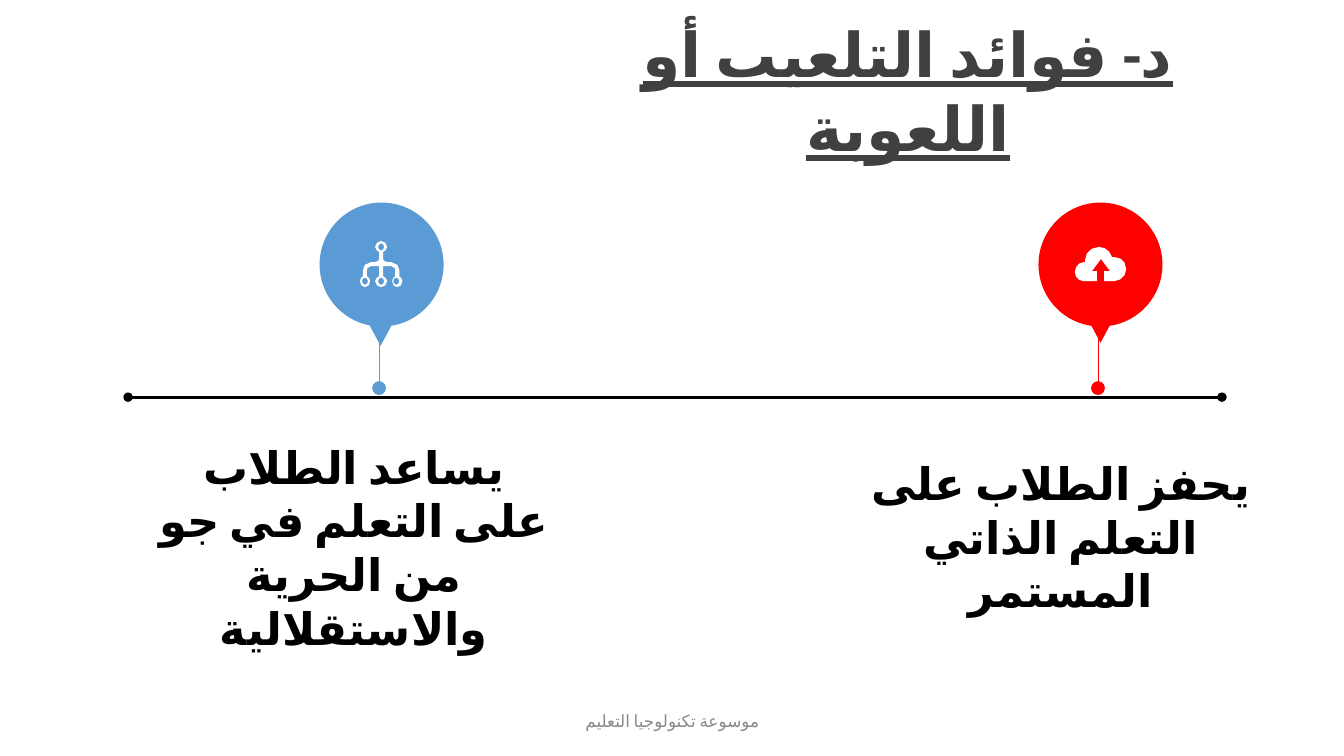
from lxml import etree
from math import cos, pi, sin
from pptx import Presentation
from pptx.dml.color import RGBColor
from pptx.enum.lang import MSO_LANGUAGE_ID
from pptx.enum.shapes import MSO_CONNECTOR, MSO_SHAPE
from pptx.enum.text import MSO_ANCHOR, PP_ALIGN
from pptx.oxml.ns import qn
from pptx.util import Inches, Pt

OVAL = MSO_SHAPE.OVAL
TRIANGLE = MSO_SHAPE.ISOSCELES_TRIANGLE
STRAIGHT = MSO_CONNECTOR.STRAIGHT
CENTER = PP_ALIGN.CENTER
TOP, MIDDLE = MSO_ANCHOR.TOP, MSO_ANCHOR.MIDDLE
ARABIC = MSO_LANGUAGE_ID.ARABIC_EGYPT

FONT = "Calibri"
BLUE, RED, WHITE, BLACK = "5B9BD5", "FF0000", "FFFFFF", "000000"

TREE_AXIS = 3.78
TREE_LEFT_HALF = [
    (3.78, 2.39),
    (3.75, 2.39, 3.72, 2.42, 3.72, 2.45), (3.72, 2.47, 3.74, 2.49, 3.76, 2.5),
    (3.76, 2.57), (3.76, 2.58, 3.75, 2.6, 3.72, 2.6),
    (3.68, 2.6), (3.62, 2.6, 3.6, 2.65, 3.6, 2.68),
    (3.6, 2.74), (3.58, 2.75, 3.57, 2.77, 3.57, 2.79),
    (3.57, 2.82, 3.59, 2.85, 3.62, 2.85), (3.65, 2.85, 3.67, 2.82, 3.67, 2.79),
    (3.67, 2.77, 3.66, 2.75, 3.64, 2.74),
    (3.64, 2.68), (3.64, 2.68, 3.64, 2.64, 3.68, 2.64),
    (3.76, 2.64),
    (3.76, 2.74), (3.74, 2.75, 3.72, 2.77, 3.72, 2.79),
    (3.72, 2.82, 3.75, 2.85, 3.78, 2.85),
]
TREE_NODES = [(3.78, 2.45), (3.62, 2.79), (3.78, 2.79), (3.93, 2.79)]

CLOUD = [
    (11.05, 2.55), (11.03, 2.55),
    (11.01, 2.49, 10.96, 2.45, 10.9, 2.45), (10.82, 2.45, 10.76, 2.51, 10.76, 2.59),
    (10.76, 2.61), (10.75, 2.6),
    (10.7, 2.6, 10.66, 2.65, 10.66, 2.7), (10.66, 2.75, 10.7, 2.79, 10.75, 2.79),
    (10.88, 2.79), (10.88, 2.69), (10.83, 2.69), (10.92, 2.57),
    (11.01, 2.69), (10.95, 2.69), (10.95, 2.79), (11.05, 2.79),
    (11.12, 2.79, 11.17, 2.73, 11.17, 2.67), (11.17, 2.6, 11.12, 2.55, 11.05, 2.55),
]


def color(value):
    return RGBColor.from_string(value)


def style_fill(shape, fill):
    shape.shadow.inherit = False
    shape.fill.solid()
    shape.fill.fore_color.rgb = color(fill)
    shape.line.fill.background()


def add_filled(shapes, kind, left, top, width, height, fill):
    shape = shapes.add_shape(kind, Inches(left), Inches(top), Inches(width), Inches(height))
    style_fill(shape, fill)
    return shape


def add_line(shapes, start, end, line_color, width, ends, size):
    line = shapes.add_connector(STRAIGHT, *map(Inches, start + end))
    line.line.color.rgb = color(line_color)
    line.line.width = Pt(width)
    outline = line.line._get_or_add_ln()
    for end_name in ends:
        etree.SubElement(outline, qn(f"a:{end_name}"), type="oval", w=size, len=size)
    etree.SubElement(line._element.spPr, qn("a:effectLst"))


def add_text(shapes, box, text, size, text_color, anchor=TOP, bold=False,
             underline=False, right_to_left=False, level=0):
    text_box = shapes.add_textbox(*map(Inches, box))
    frame = text_box.text_frame
    frame.word_wrap = True
    frame.vertical_anchor = anchor
    paragraph = frame.paragraphs[0]
    run = paragraph.add_run()
    run.text = text
    run.font.language_id = ARABIC
    paragraph.alignment = CENTER
    paragraph.level = level
    properties = paragraph._p.get_or_add_pPr()
    properties.set("marL", str(Inches(0.5 * level)))
    properties.set("indent", "0")
    if right_to_left:
        properties.set("rtl", "1")
    font = paragraph.font
    font.name = FONT
    font.size = Pt(size)
    font.bold = bold
    font.underline = underline
    font.color.rgb = color(text_color)
    font.language_id = ARABIC
    etree.SubElement(properties.find(qn("a:defRPr")), qn("a:cs"), typeface=FONT)


def flatten(outline, steps):
    points = [outline[0]]
    for segment in outline[1:]:
        if len(segment) == 2:
            points.append(segment)
            continue
        x0, y0 = points[-1]
        x1, y1, x2, y2, x3, y3 = segment
        for step in range(1, steps + 1):
            t = step / steps
            a, b, c, d = (1 - t) ** 3, 3 * t * (1 - t) ** 2, 3 * t * t * (1 - t), t ** 3
            points.append((a * x0 + b * x1 + c * x2 + d * x3,
                           a * y0 + b * y1 + c * y2 + d * y3))
    return points


def ellipse_points(center_x, center_y, radius_x=0.03, radius_y=0.035, count=8):
    angles = [2 * pi * index / count for index in range(count)]
    return [(center_x + radius_x * cos(angle), center_y + radius_y * sin(angle))
            for angle in angles]


def tree_contours():
    left_half = flatten(TREE_LEFT_HALF, 2)
    right_half = [(2 * TREE_AXIS - x, y) for x, y in left_half[-2:0:-1]]
    return [left_half + right_half] + [ellipse_points(*node) for node in TREE_NODES]


def add_icon(shapes, contours):
    contours = [[(Inches(x), Inches(y)) for x, y in contour] for contour in contours]
    builder = shapes.build_freeform(*contours[0][0])
    builder.add_line_segments(contours[0][1:], close=True)
    for contour in contours[1:]:
        builder.move_to(*contour[0])
        builder.add_line_segments(contour[1:], close=True)
    style_fill(builder.convert_to_shape(), WHITE)


def add_benefit(slide, left, tip_left, tip_top, pin_x, fill, text_box, text, contours):
    shapes = slide.shapes.add_group_shape().shapes
    add_filled(shapes, OVAL, left, 2.01, 1.23, 1.23, fill)
    tip = add_filled(shapes, TRIANGLE, tip_left, tip_top, 0.27, 0.25, fill)
    tip.rotation = 180
    add_line(shapes, (pin_x, 3.34), (pin_x, 3.85), fill, 0.5, ["tailEnd"], "lg")
    add_text(shapes, text_box, text, 32, BLACK, bold=True, right_to_left=True, level=1)
    add_icon(shapes, contours)


def main():
    presentation = Presentation()
    presentation.slide_width = Inches(13.33)
    presentation.slide_height = Inches(7.5)
    slide = presentation.slides.add_slide(presentation.slide_layouts[6])

    add_line(slide.shapes, (1.27, 3.94), (12.12, 3.94), BLACK, 2.25,
             ["headEnd", "tailEnd"], "med")
    add_benefit(slide, 3.17, 3.64, 3.18, 3.76, BLUE, (1.48, 4.31, 4.56, 1.72),
                "يساعد الطلاب على التعلم في جو من الحرية والاستقلالية", tree_contours())
    add_benefit(slide, 10.3, 10.78, 3.15, 10.89, RED, (8.32, 4.47, 4.9, 1.2),
                "يحفز الطلاب على التعلم الذاتي المستمر", [flatten(CLOUD, 3)])
    add_text(slide.shapes, (5.26, 0.44, 7.49, 0.91), "د- فوائد التلعيب أو اللعوبة",
             44, "404040", MIDDLE, bold=True, underline=True, right_to_left=True)
    add_text(slide.shapes, (4.42, 6.95, 4.5, 0.4), "موسوعة تكنولوجيا التعليم",
             12, "898989", MIDDLE)
    presentation.save("out.pptx")


if __name__ == "__main__":
    main()
